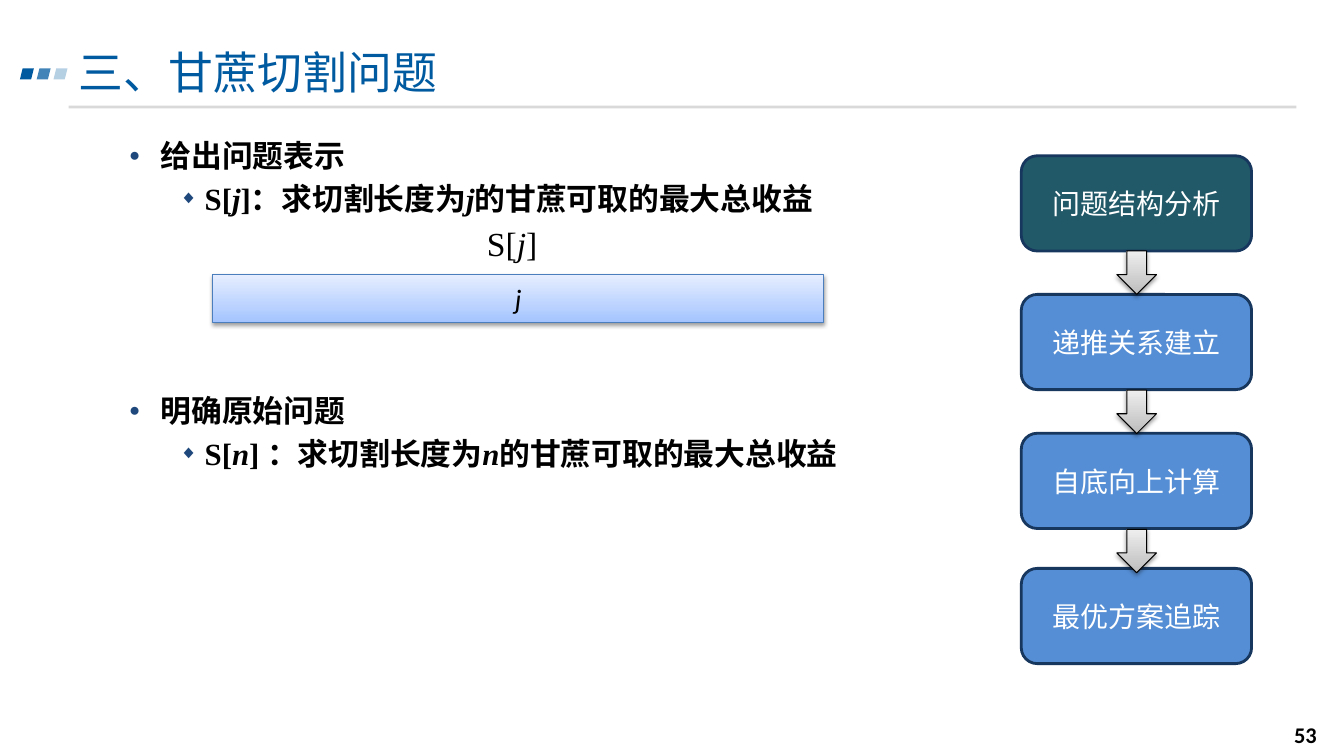
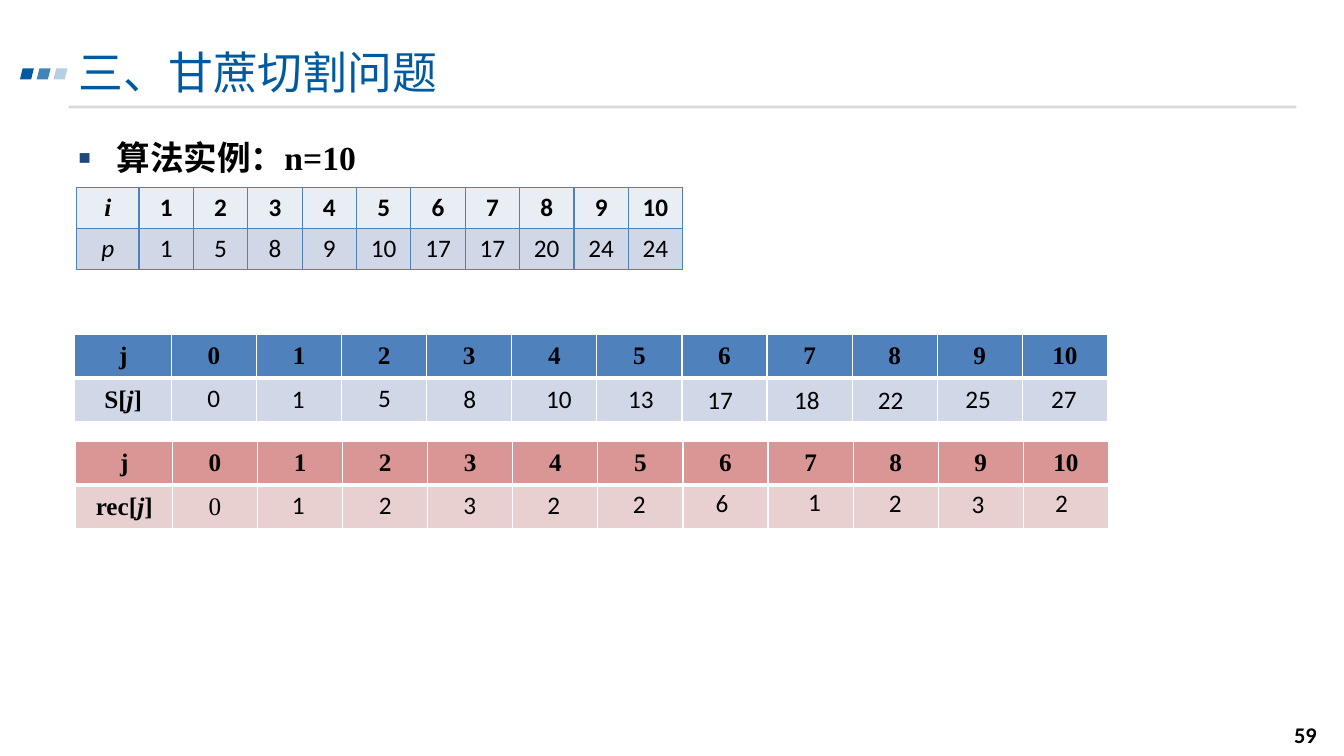
from lxml.etree import SubElement
from pptx import Presentation
from pptx.dml.color import RGBColor
from pptx.enum.shapes import MSO_SHAPE
from pptx.enum.text import MSO_ANCHOR, MSO_AUTO_SIZE, PP_ALIGN
from pptx.oxml.ns import qn
from pptx.util import Pt

BLUE, NAVY, BLACK, WHITE = "005AA0", "1F497D", "000000", "FFFFFF"
SANS, SERIF, HAN = "Calibri", "Times New Roman", "Noto Sans CJK SC"
rgb = RGBColor.from_string


def write(para, text, size=18, font=SANS, color=BLACK, bold=False, align=PP_ALIGN.LEFT):
    """Fill a paragraph; parts between asterisks become italic."""
    para.alignment = align
    for i, part in enumerate(text.split("*")):
        if part:
            run = para.add_run()
            run.text = part
            run.font.size = Pt(size)
            run.font.name = font
            run.font.bold = bold
            run.font.italic = i % 2 == 1
            run.font.color.rgb = rgb(color)
            SubElement(run.font._element, qn("a:ea"), typeface=HAN)


def draw(slide, kind, x, y, w, h, fill=None, line=None, width=0.75):
    """Add a preset shape with a plain fill and an optional outline."""
    shape = slide.shapes.add_shape(kind, Pt(x), Pt(y), Pt(w), Pt(h))
    shape.shadow.inherit = False
    if fill:
        shape.fill.solid()
        shape.fill.fore_color.rgb = rgb(fill)
    if line:
        shape.line.color.rgb = rgb(line)
        shape.line.width = Pt(width)
    else:
        shape.line.fill.background()
    return shape


deck = Presentation()
deck.slide_width, deck.slide_height = Pt(960), Pt(540)

# Lists: text, level, bullet, size, font, left, hang, space before
pages = [
    ("53", 26, [
        ("给出问题表示", 0, "●", 22, HAN, 58.5, 22.5, 0),
        ("S[*j*]：求切割长度为*j*的甘蔗可取的最大总收益", 1, "◆", 22, SERIF, 90, 18, 4.7),
        ("明确原始问题", 0, "●", 22, HAN, 58.5, 22.5, 125.5),
        ("S[*n*] ：求切割长度为*n*的甘蔗可取的最大总收益", 1, "◆", 22, SERIF, 90, 18, 4.7),
    ]),
    ("59", 28.5, [("算法实例：n=10", 0, "■", 24, SERIF, 27, 27, 0)]),
]

# Shared frame, title and list of each slide
for number, pitch, items in pages:
    slide = deck.slides.add_slide(deck.slide_layouts[1])
    draw(slide, MSO_SHAPE.RECTANGLE, 49, 75.5, 877, 2, "D9D9D9")
    for i, alpha in enumerate((100, 74, 29)):
        mark = draw(slide, MSO_SHAPE.PARALLELOGRAM, 14.2 + 12 * i, 48.8, 10, 8, BLUE)
        shade = mark.element.spPr.find(".//" + qn("a:srgbClr"))
        SubElement(shade, qn("a:alpha"), val=str(alpha * 1000))

    box = slide.shapes.add_textbox(Pt(895.7), Pt(510.5), Pt(52), Pt(28.8))
    box.text_frame.word_wrap = True
    box.text_frame.vertical_anchor = MSO_ANCHOR.MIDDLE
    write(box.text_frame.paragraphs[0], number, size=16, bold=True, align=PP_ALIGN.RIGHT)

    title, body = slide.shapes.title, slide.placeholders[1]
    for hold, y, w, h in ((title, 31.7, 793.5, 51), (body, 94.5, 873.5, 374.5)):
        hold.left, hold.top, hold.width, hold.height = Pt(49), Pt(y), Pt(w), Pt(h)
        hold.text_frame.auto_size = MSO_AUTO_SIZE.NONE
        hold.text_frame.vertical_anchor = MSO_ANCHOR.TOP
    head = title.text_frame.paragraphs[0]
    head.line_spacing = Pt(35)
    write(head, "三、甘蔗切割问题", size=32, color=BLUE)

    for i, (text, level, sign, size, font, left, hang, gap) in enumerate(items):
        para = body.text_frame.add_paragraph() if i else body.text_frame.paragraphs[0]
        para.level = level
        props = para._p.get_or_add_pPr()
        props.set("marL", str(Pt(left)))
        props.set("indent", str(-Pt(hang)))
        SubElement(SubElement(props, qn("a:buClr")), qn("a:srgbClr"), val=NAVY)
        SubElement(props, qn("a:buSzPct"), val="60000")
        SubElement(props, qn("a:buChar"), char=sign)
        para.line_spacing = Pt(pitch)
        para.space_before = Pt(gap)
        write(para, text, size=size, font=font, bold=True)

first, second = deck.slides

# Steps on the right
steps = [("问题结构分析", 111.3), ("递推关系建立", 210.3), ("自底向上计算", 309.5), ("最优方案追踪", 406)]
for i, (text, y) in enumerate(steps):
    step = draw(first, MSO_SHAPE.ROUNDED_RECTANGLE, 729.5, y, 164.5, 68,
                "558ED5" if i else "215968", "17375E", 2)
    step.text_frame.vertical_anchor = MSO_ANCHOR.MIDDLE
    write(step.text_frame.paragraphs[0], text, size=20, color=WHITE, align=PP_ALIGN.CENTER)

# Arrows and the cane bar, shaded from bottom to top
bar = draw(first, MSO_SHAPE.RECTANGLE, 152, 196.2, 436.5, 34.2, line="4B7EBC")
bar.text_frame.vertical_anchor = MSO_ANCHOR.MIDDLE
write(bar.text_frame.paragraphs[0], "*j*", size=20, align=PP_ALIGN.CENTER)
shaded = [(bar, "A4C4FF", "E6EEFF")]
for i in range(len(steps) - 1):
    arrow = draw(first, MSO_SHAPE.DOWN_ARROW, 797.8, 179.3 + 99.4 * i, 28.3, 31, line=BLACK)
    shaded.append((arrow, "BDBDBD", "EEEEEE"))
for shape, low, high in shaded:
    shape.fill.gradient()
    shape.fill.gradient_angle = 90
    for stop, color in zip(shape.fill.gradient_stops, (low, high)):
        stop.color.rgb = rgb(color)
    glow = SubElement(shape.element.spPr.find(qn("a:effectLst")), qn("a:outerShdw"),
                      blurRad="40000", dist="20000", dir="5400000", rotWithShape="0")
    SubElement(SubElement(glow, qn("a:srgbClr"), val=BLACK), qn("a:alpha"), val="38000")

label = first.shapes.add_textbox(Pt(340.7), Pt(155.5), Pt(51), Pt(36))
label.text_frame.word_wrap = False
write(label.text_frame.paragraphs[0], "S[*j*]", size=24, font=SERIF)

# Tables: left, top, label column, other columns, row height, edge, fills, rows
tables = [
    (54.7, 134, 44.6, 38.85, 29.2, "4F81BD", ("E9EDF4", "D0D8E8"),
     [["*i*", *range(1, 11)], ["*p*", 1, 5, 8, 9, 10, 17, 17, 20, 24, 24]]),
    (53.5, 239, 69, 60.8, 31.2, WHITE, ("4F81BD", "D0D8E8"),
     [["j", *range(11)], ["S[*j*]"]]),
    (54.2, 315.3, 69, 60.8, 31.2, WHITE, ("D99694", "E8D0D0"),
     [["j", *range(11)], ["rec[*j*]", 0]]),
]
for x, y, lead, step, high, edge, fills, rows in tables:
    count = len(rows[0])
    grid = second.shapes.add_table(2, count, Pt(x), Pt(y),
                                   Pt(lead + step * (count - 1)), Pt(2 * high)).table
    grid.first_row = grid.horz_banding = False
    white = edge == WHITE
    for c, col in enumerate(grid.columns):
        col.width = Pt(step if c else lead)
    for r, row in enumerate(rows):
        grid.rows[r].height = Pt(high)
        for c in range(count):
            cell = grid.cell(r, c)
            props = cell._tc.get_or_add_tcPr()
            for side in ("L", "R", "T", "B"):
                thick = white and (r, side) in ((0, "B"), (1, "T"))
                line = SubElement(props, qn("a:ln" + side), w=str(Pt(3 if thick else 1)))
                SubElement(SubElement(line, qn("a:solidFill")), qn("a:srgbClr"), val=edge)
            cell.fill.solid()
            cell.fill.fore_color.rgb = rgb(fills[r])
            cell.vertical_anchor = MSO_ANCHOR.MIDDLE
            if c < len(row):
                serif = white or (r, c) == (0, 0)
                write(cell.text_frame.paragraphs[0], str(row[c]),
                      font=SERIF if serif else SANS,
                      bold=r == 0 or white and c == 0, align=PP_ALIGN.CENTER)

# Results laid over the lower rows: value, left, top
sums = [(0, 141, 269.5), (1, 201.5, 270), (5, 263, 269.5), (8, 324, 270),
        (10, 383, 270), (13, 441.5, 270), (17, 498.2, 270.7), (18, 560.2, 270.7),
        (22, 620, 270.7), (25, 682.5, 270), (27, 743.8, 270)]
cuts = [(1, 201.5, 345.6), (2, 263.5, 345.6), (3, 324, 345.6), (2, 383.8, 345.6),
        (2, 445, 345), (6, 504, 344.2), (1, 570.2, 343.5), (2, 627.8, 344.2),
        (3, 687, 345), (2, 746.6, 344.2)]
for value, x, y in sums + cuts:
    box = second.shapes.add_textbox(Pt(x), Pt(y), Pt(22.5 if x < 380 else 37.5), Pt(29))
    box.text_frame.word_wrap = True
    write(box.text_frame.paragraphs[0], str(value))

deck.save("out.pptx")
